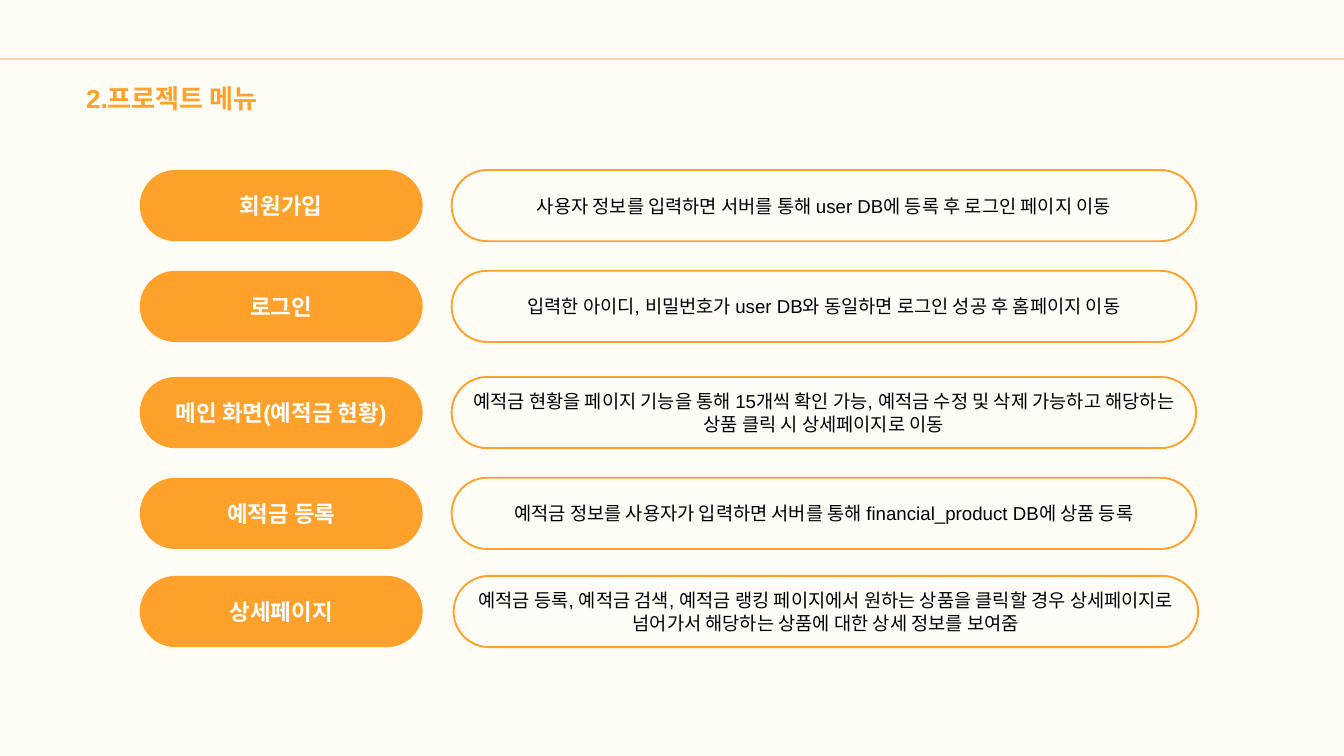
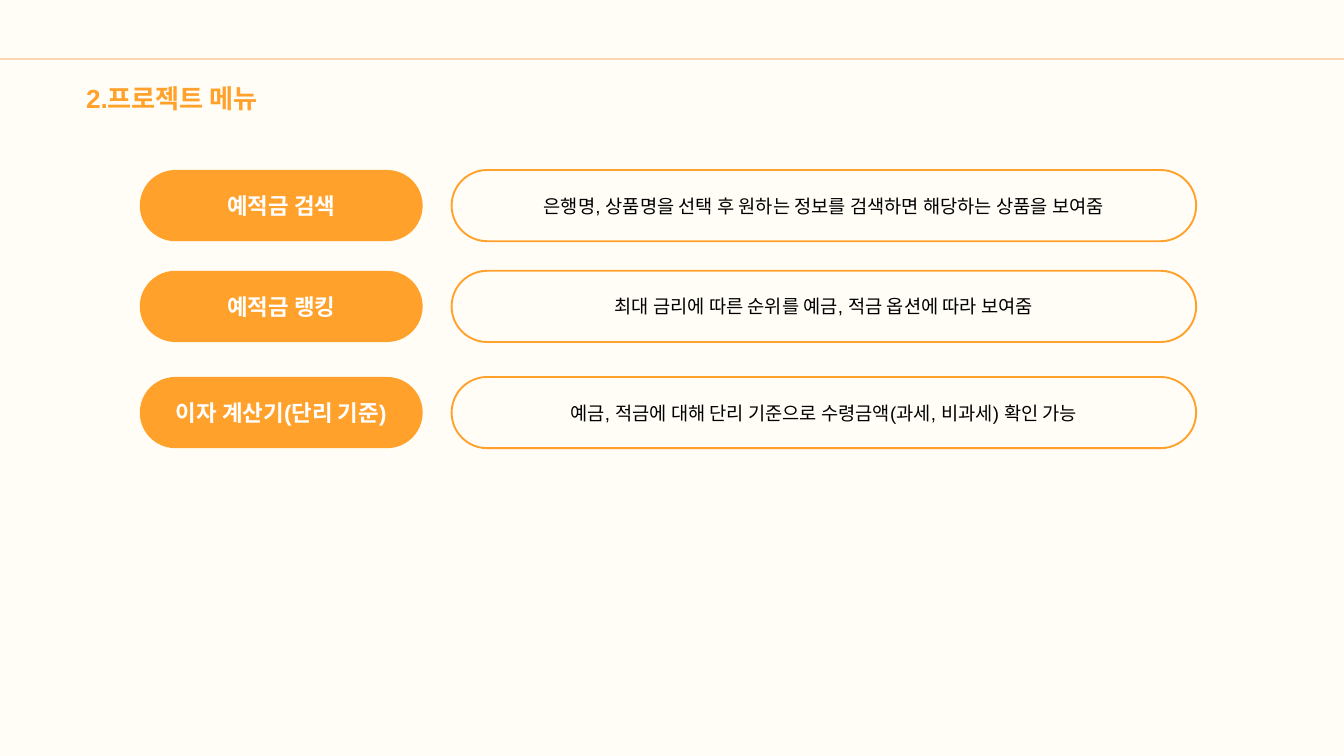
from dataclasses import dataclass

from lxml.etree import SubElement
from pptx import Presentation
from pptx.dml.color import RGBColor
from pptx.enum.shapes import MSO_CONNECTOR, MSO_SHAPE
from pptx.enum.text import MSO_ANCHOR, PP_ALIGN
from pptx.oxml.ns import qn
from pptx.shapes.autoshape import Shape
from pptx.shapes.group import GroupShape
from pptx.slide import Slide
from pptx.text.text import TextFrame
from pptx.util import Inches, Pt


@dataclass(frozen=True)
class Theme:
    font: str = "Arial"
    background: RGBColor = RGBColor.from_string("FFFDF6")
    accent: RGBColor = RGBColor.from_string("FFA12B")
    rule: RGBColor = RGBColor.from_string("FCD5B5")
    body: RGBColor = RGBColor.from_string("000000")
    on_accent: RGBColor = RGBColor.from_string("FFFFFF")
    title_size: int = 28
    label_size: int = 24
    body_size: int = 20


@dataclass(frozen=True)
class MenuItem:
    label: str
    detail: str
    detail_left: float = 6.72


THEME = Theme()
SLIDE_W, SLIDE_H = 20, 11.25
RULE_TOP = 0.88
ROW_TOPS = (2.53, 4.03, 5.61, 7.11, 8.57)
PILL_H = 1.06
LABEL_LEFT, LABEL_W = 2.08, 4.21
DETAIL_W = 11.08
TITLE = "2.프로젝트 메뉴"

MENU_PAGES = (
    (
        MenuItem("회원가입", "사용자 정보를 입력하면 서버를 통해 user DB에 등록 후 로그인 페이지 이동"),
        MenuItem("로그인", "입력한 아이디, 비밀번호가 user DB와 동일하면 로그인 성공 후 홈페이지 이동"),
        MenuItem("메인 화면(예적금 현황)",
                 "예적금 현황을 페이지 기능을 통해 15개씩 확인 가능, 예적금 수정 및 삭제 가능하고 "
                 "해당하는 상품 클릭 시 상세페이지로 이동"),
        MenuItem("예적금 등록",
                 "예적금 정보를 사용자가 입력하면 서버를 통해 financial_product DB에 상품 등록"),
        MenuItem("상세페이지",
                 "예적금 등록, 예적금 검색, 예적금 랭킹 페이지에서 원하는 상품을 클릭할 경우 "
                 "상세페이지로 넘어가서 해당하는 상품에 대한 상세 정보를 보여줌",
                 detail_left=6.75),
    ),
    (
        MenuItem("예적금 검색", "은행명, 상품명을 선택 후 원하는 정보를 검색하면 해당하는 상품을 보여줌"),
        MenuItem("예적금 랭킹", "최대 금리에 따른 순위를 예금, 적금 옵션에 따라 보여줌"),
        MenuItem("이자 계산기(단리 기준)",
                 "예금, 적금에 대해 단리 기준으로 수령금액(과세, 비과세) 확인 가능"),
    ),
)


def write(tf: TextFrame, text: str, *, size: int, color: RGBColor, bold: bool = False,
          align: PP_ALIGN = PP_ALIGN.LEFT, line_spacing: float = 1.0) -> None:
    tf.word_wrap = True
    tf.vertical_anchor = MSO_ANCHOR.MIDDLE
    p = tf.paragraphs[0]
    p.alignment = align
    p.line_spacing = line_spacing
    r = p.add_run()
    r.text = text
    r.font.name = THEME.font
    r.font.size = Pt(size)
    r.font.bold = bold
    r.font.color.rgb = color


def add_pill(group: GroupShape, left: float, top: float, width: float) -> Shape:
    sp = group.shapes.add_shape(MSO_SHAPE.ROUNDED_RECTANGLE, Inches(left), Inches(top),
                                Inches(width), Inches(PILL_H))
    sp.adjustments[0] = 0.5
    sp.shadow.inherit = False
    return sp


def add_menu_row(s: Slide, item: MenuItem, top: float) -> None:
    group = s.shapes.add_group_shape()

    detail = add_pill(group, item.detail_left, top, DETAIL_W)
    detail.fill.background()
    detail.line.color.rgb = THEME.accent
    detail.line.width = Pt(2)
    write(detail.text_frame, item.detail, size=THEME.body_size, color=THEME.body,
          align=PP_ALIGN.CENTER)

    label = add_pill(group, LABEL_LEFT, top, LABEL_W)
    label.fill.solid()
    label.fill.fore_color.rgb = THEME.accent
    label.line.fill.background()
    write(label.text_frame, item.label, size=THEME.label_size, color=THEME.on_accent,
          bold=True, align=PP_ALIGN.CENTER)


def add_frame(s: Slide, title: str) -> None:
    """Draw the background, top rule and title that every slide shares."""
    s.background.fill.solid()
    s.background.fill.fore_color.rgb = THEME.background

    rule = s.shapes.add_connector(MSO_CONNECTOR.STRAIGHT, 0, Inches(RULE_TOP),
                                  Inches(SLIDE_W), Inches(RULE_TOP))
    rule.line.color.rgb = THEME.rule
    rule.line.width = Pt(1.5)
    SubElement(rule._element.spPr, qn("a:effectLst"))

    tf = s.shapes.add_textbox(Inches(1.28), Inches(1.21), Inches(4.72), Inches(0.42)).text_frame
    tf.margin_left = tf.margin_right = tf.margin_top = tf.margin_bottom = 0
    write(tf, title, size=THEME.title_size, color=THEME.accent, bold=True, line_spacing=1.16)


def main() -> None:
    prs = Presentation()
    prs.slide_width, prs.slide_height = Inches(SLIDE_W), Inches(SLIDE_H)
    for items in MENU_PAGES:
        s = prs.slides.add_slide(prs.slide_layouts[6])
        add_frame(s, TITLE)
        for item, top in zip(items, ROW_TOPS):
            add_menu_row(s, item, top)
    prs.save("out.pptx")


if __name__ == "__main__":
    main()
